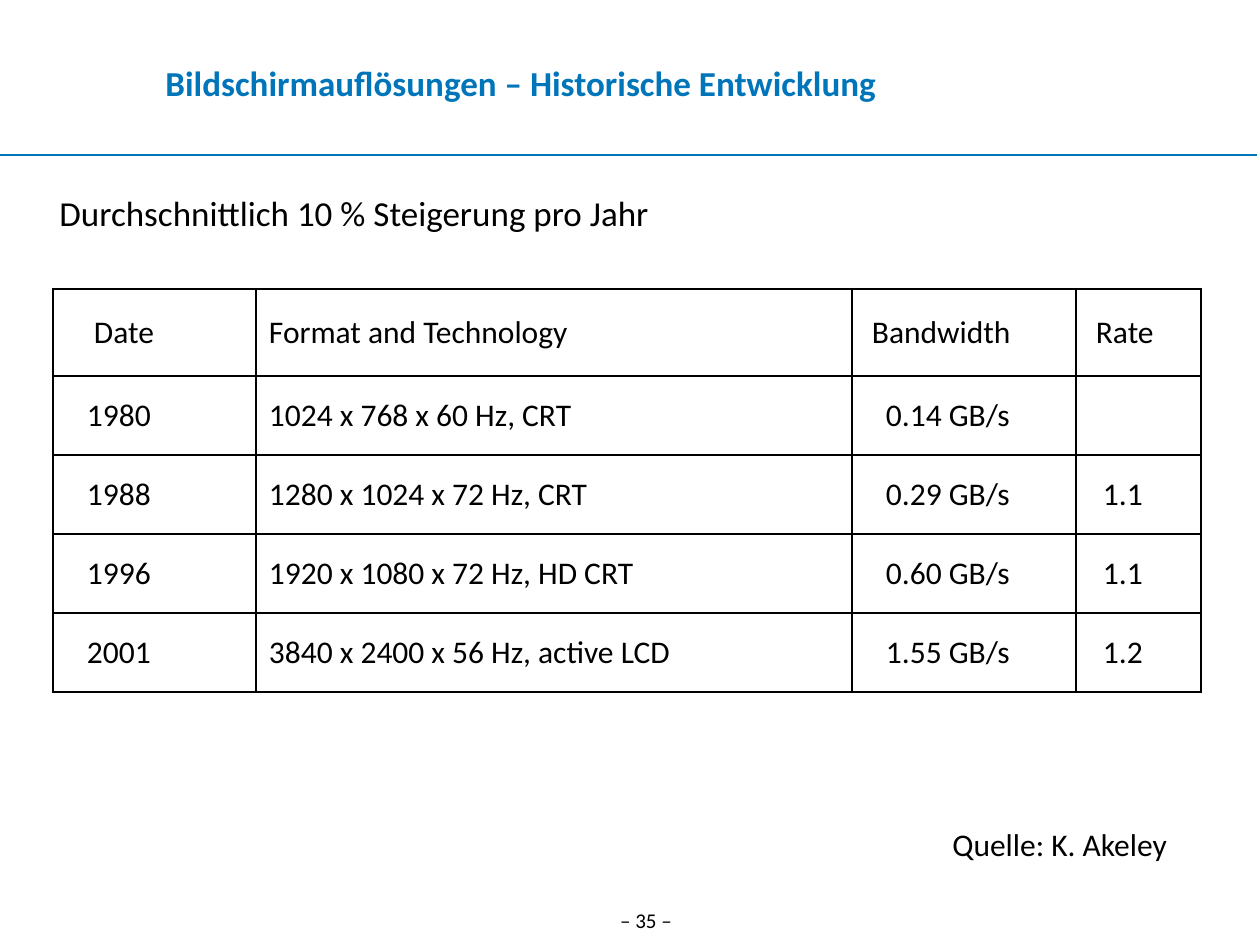
from lxml.etree import SubElement
from pptx import Presentation
from pptx.dml.color import RGBColor
from pptx.enum.shapes import MSO_CONNECTOR
from pptx.enum.text import MSO_ANCHOR, PP_ALIGN
from pptx.oxml.ns import qn
from pptx.util import Emu, Pt

# Content
TITLE = "Bildschirmauflösungen – Historische Entwicklung"
STATEMENT = "Durchschnittlich 10 % Steigerung pro Jahr"
SOURCE = "Quelle: K. Akeley"
PAGE_NUMBER = "– 35 –"
ROWS = [
    ("Date", "Format and Technology", "Bandwidth", "Rate"),
    ("1980", "1024 x 768 x 60 Hz, CRT", "0.14 GB/s", ""),
    ("1988", "1280 x 1024 x 72 Hz, CRT", "0.29 GB/s", "1.1"),
    ("1996", "1920 x 1080 x 72 Hz, HD CRT", "0.60 GB/s", "1.1"),
    ("2001", "3840 x 2400 x 56 Hz, active LCD", "1.55 GB/s", "1.2"),
]

# Layout in px
SLIDE_SIZE = (1260, 945)
TABLE_ORIGIN = (53, 289)
COLUMN_WIDTHS = (203, 596, 224, 125)
HEADER_HEIGHT, ROW_HEIGHT = 87, 79
CELL_INSET = 13
HEADER_INDENTS = (28, 0, 7, 7)
BODY_INDENTS = (21, 0, 21, 14)

THEME = {
    "font": "Calibri",
    "accent": RGBColor(0x00, 0x75, 0xBA),
    "text": RGBColor(0, 0, 0),
    "heading_size": Pt(20),
    "text_size": Pt(18),
    "small_size": Pt(12),
    "rule_width": Pt(0.75),
    "border_width": Pt(1.47),
}


def px(value):
    return Emu(value * 914400 // 126)


def write(text_frame, text, size, color=THEME["text"], align=PP_ALIGN.LEFT, bold=False):
    text_frame.text = text
    paragraph = text_frame.paragraphs[0]
    paragraph.alignment = align
    font = paragraph.runs[0].font if paragraph.runs else paragraph.font
    font.name, font.size, font.bold = THEME["font"], size, bold
    font.color.rgb = color


def add_text(slide, box, text, size, align=PP_ALIGN.LEFT):
    shape = slide.shapes.add_textbox(*map(px, box))
    shape.text_frame.word_wrap = True
    write(shape.text_frame, text, size, align=align)


def add_borders(cell):
    properties = cell._tc.get_or_add_tcPr()
    for side in ("lnL", "lnR", "lnT", "lnB"):
        line = SubElement(properties, qn(f"a:{side}"), w=str(THEME["border_width"]))
        fill = SubElement(line, qn("a:solidFill"))
        SubElement(fill, qn("a:srgbClr"), val=str(THEME["text"]))


def add_title(slide):
    title = slide.shapes.title
    title.left, title.top, title.width, title.height = map(px, (25, 29, 992, 107))
    text_frame = title.text_frame
    text_frame.margin_left = text_frame.margin_right = 0
    text_frame.margin_top = text_frame.margin_bottom = 0
    text_frame.vertical_anchor = MSO_ANCHOR.MIDDLE
    write(text_frame, TITLE, THEME["heading_size"], THEME["accent"], PP_ALIGN.CENTER, True)


def add_rule(slide):
    rule = slide.shapes.add_connector(
        MSO_CONNECTOR.STRAIGHT, px(0), px(155), px(1257), px(155))
    rule.line.color.rgb = THEME["accent"]
    rule.line.width = THEME["rule_width"]
    SubElement(rule._element.spPr, qn("a:effectLst"))


def add_resolution_table(slide):
    heights = [HEADER_HEIGHT] + [ROW_HEIGHT] * (len(ROWS) - 1)
    size = (sum(COLUMN_WIDTHS), sum(heights))
    table = slide.shapes.add_table(
        len(ROWS), len(COLUMN_WIDTHS), *map(px, TABLE_ORIGIN + size)).table
    table.first_row = table.horz_banding = False
    for column, width in zip(table.columns, COLUMN_WIDTHS):
        column.width = px(width)
    for row_index, (row, height, texts) in enumerate(zip(table.rows, heights, ROWS)):
        row.height = px(height)
        indents = BODY_INDENTS if row_index else HEADER_INDENTS
        for cell, text, indent in zip(row.cells, texts, indents):
            add_borders(cell)
            cell.fill.background()
            cell.vertical_anchor = MSO_ANCHOR.MIDDLE
            cell.margin_left = px(CELL_INSET + indent)
            write(cell.text_frame, text, THEME["text_size"])


def main():
    presentation = Presentation()
    presentation.slide_width, presentation.slide_height = map(px, SLIDE_SIZE)
    slide = presentation.slides.add_slide(presentation.slide_layouts[5])

    # Header and page number
    add_rule(slide)
    add_text(slide, (591, 901, 110, 40), PAGE_NUMBER, THEME["small_size"], PP_ALIGN.CENTER)
    add_title(slide)

    # Table with its statement and source
    add_resolution_table(slide)
    add_text(slide, (940, 819, 289, 51), SOURCE, THEME["text_size"])
    add_text(slide, (47, 185, 1139, 62), STATEMENT, THEME["heading_size"])

    presentation.save("out.pptx")


if __name__ == "__main__":
    main()
